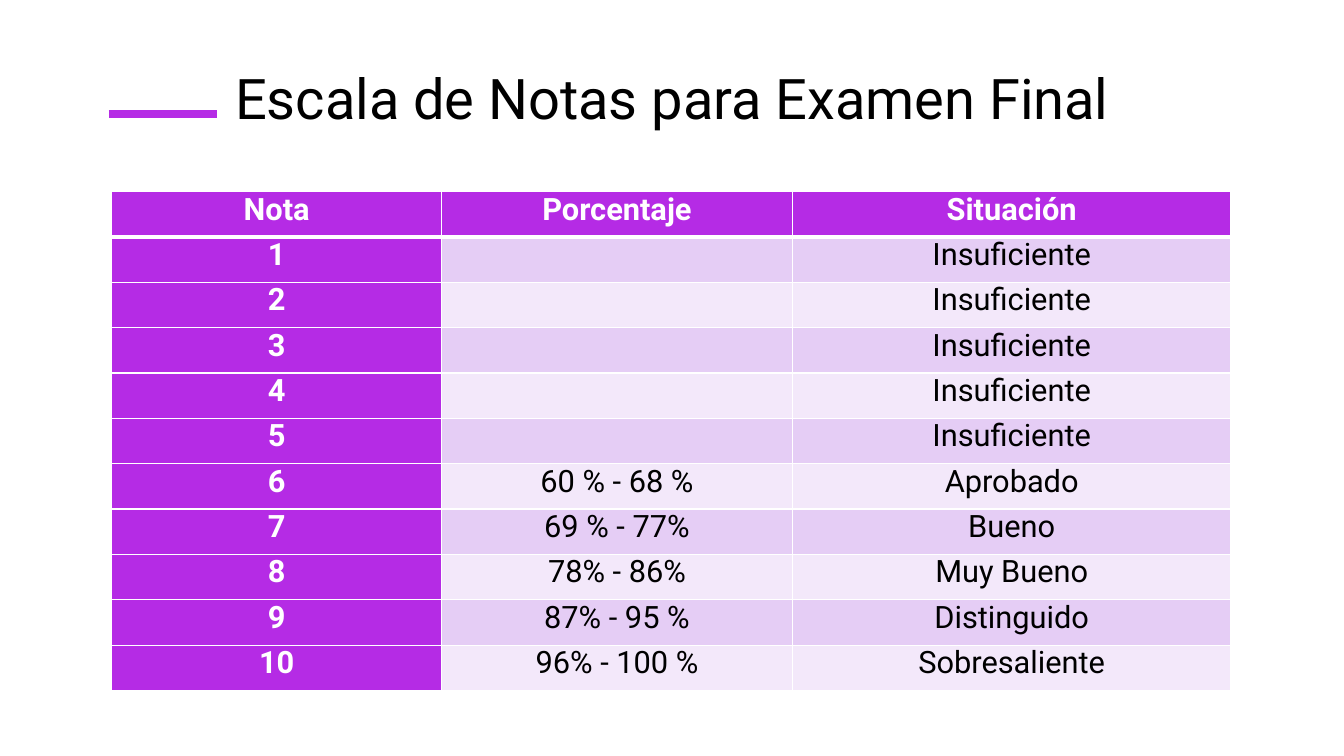
"""Build a slide with the grading scale of the final exam."""
from dataclasses import dataclass

from lxml.etree import SubElement
from pptx import Presentation
from pptx.dml.color import RGBColor as RGB
from pptx.enum.shapes import MSO_CONNECTOR as CONN
from pptx.enum.text import MSO_ANCHOR as ANCHOR, PP_ALIGN as ALIGN
from pptx.oxml.ns import qn
from pptx.util import Inches, Pt


@dataclass(frozen=True)
class Theme:
    font: str = "Roboto"
    accent: str = "B52BE5"
    bands: tuple = ("E5CDF5", "F3E8FA")
    light: str = "FFFFFF"
    dark: str = "000000"
    title_size: int = 40
    cell_size: int = 22
    rule: int = 6
    thin: int = 1
    thick: int = 3


class SlideBuilder:
    def __init__(self, prs, theme):
        self.theme = theme
        self.s = prs.slides.add_slide(prs.slide_layouts[5])

    def label(self, tf, text, size, color, bold=False):
        p = tf.paragraphs[0]
        p.alignment = ALIGN.CENTER
        r = p.add_run()
        r.text = text
        style = {"name": self.theme.font, "size": Pt(size), "bold": bold}
        for key, value in style.items():
            setattr(r.font, key, value)
        r.font.color.rgb = RGB.from_string(color)

    def title(self, text, x, y, w, h):
        sp = self.s.shapes.title
        box = {"left": x, "top": y, "width": w, "height": h}
        for key, value in box.items():
            setattr(sp, key, Inches(value))
        tf = sp.text_frame
        tf.word_wrap = True
        tf.vertical_anchor = ANCHOR.MIDDLE
        self.label(tf, text, self.theme.title_size, self.theme.dark)

    def rule(self, x1, x2, y):
        ln = self.s.shapes.add_connector(
            CONN.STRAIGHT, Inches(x1), Inches(y), Inches(x2), Inches(y))
        ln.line.color.rgb = RGB.from_string(self.theme.accent)
        ln.line.width = Pt(self.theme.rule)
        SubElement(ln._element.spPr, qn("a:effectLst"))

    def borders(self, cell, widths):
        tcPr = cell._tc.get_or_add_tcPr()
        for side, width in widths.items():
            ln = SubElement(tcPr, qn(f"a:ln{side}"), w=str(Pt(width)))
            fill = SubElement(ln, qn("a:solidFill"))
            SubElement(fill, qn("a:srgbClr"), val=self.theme.light)

    def cell(self, cell, text, row, col):
        t = self.theme
        heading = row == 0 or col == 0
        margins = {"margin_left": 0.15, "margin_right": 0.15,
                   "margin_top": 0, "margin_bottom": 0}
        for key, value in margins.items():
            setattr(cell, key, Inches(value))
        self.borders(cell, {"L": t.thin, "R": t.thin,
                            "T": t.thick if row == 1 else t.thin,
                            "B": t.thick if row == 0 else t.thin})
        cell.fill.solid()
        color = t.accent if heading else t.bands[(row - 1) % 2]
        cell.fill.fore_color.rgb = RGB.from_string(color)
        if text:
            self.label(cell.text_frame, text, t.cell_size,
                       t.light if heading else t.dark, heading)

    def table(self, rows, x, y, widths, row_height):
        frame = self.s.shapes.add_table(
            len(rows), len(widths), Inches(x), Inches(y),
            Inches(sum(widths)), Inches(row_height * len(rows)))
        tbl = frame.table
        tbl.first_col = True
        for column, width in zip(tbl.columns, widths):
            column.width = Inches(width)
        for i, values in enumerate(rows):
            tbl.rows[i].height = Inches(row_height)
            for j, text in enumerate(values):
                self.cell(tbl.cell(i, j), text, i, j)


GRADES = [
    *[("", "Insuficiente")] * 5,
    ("60 % - 68 %", "Aprobado"),
    ("69 % - 77%", "Bueno"),
    ("78% - 86%", "Muy Bueno"),
    ("87% - 95 %", "Distinguido"),
    ("96% - 100 %", "Sobresaliente"),
]


def main():
    prs = Presentation()
    prs.slide_width, prs.slide_height = Inches(13.33), Inches(7.5)
    slide = SlideBuilder(prs, Theme())
    slide.rule(1.08, 2.15, 1.13)
    slide.title("Escala de Notas para Examen Final", 0.92, 0.37, 11.49, 1.18)
    rows = [("Nota", "Porcentaje", "Situación")]
    rows += [(str(n), *grade) for n, grade in enumerate(GRADES, 1)]
    slide.table(rows, 1.11, 1.9, (3.27, 3.48, 4.35), 0.45)
    prs.save("out.pptx")


if __name__ == "__main__":
    main()
